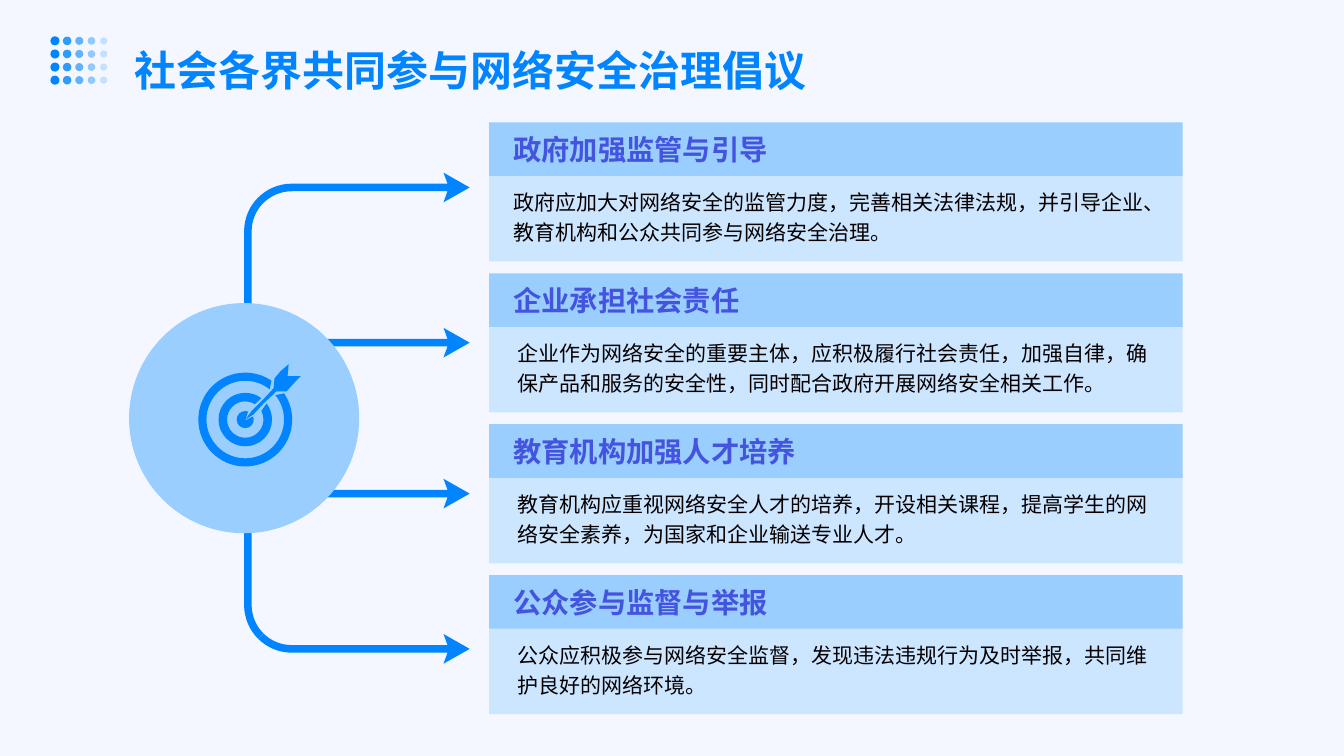
from math import cos, floor, radians, sin, tan

from lxml.etree import SubElement
from pptx import Presentation
from pptx.dml.color import RGBColor
from pptx.enum.shapes import MSO_SHAPE
from pptx.enum.text import MSO_ANCHOR, MSO_AUTO_SIZE
from pptx.oxml.ns import qn
from pptx.util import Pt

FONT = "Noto Sans CJK SC"
BLUE, SKY, PALE = "0084FF", "99CEFF", "CCE6FF"
INITIATIVES = [
    ("政府加强监管与引导",
     "政府应加大对网络安全的监管力度，完善相关法律法规，并引导企业、教育机构和公众共同参与网络安全治理。"),
    ("企业承担社会责任",
     "企业作为网络安全的重要主体，应积极履行社会责任，加强自律，确保产品和服务的安全性，同时配合政府开展网络安全相关工作。"),
    ("教育机构加强人才培养",
     "教育机构应重视网络安全人才的培养，开设相关课程，提高学生的网络安全素养，为国家和企业输送专业人才。"),
    ("公众参与监督与举报",
     "公众应积极参与网络安全监督，发现违法违规行为及时举报，共同维护良好的网络环境。"),
]
DART = [(30.2, -31), (31, -39.6), (25.2, -34.6), (20.9, -29.5), (20.2, -22.3),
        (11.5, -13), (4.3, -5.8), (0, 0), (5.8, -3.6), (13, -11.5),
        (22.3, -20.2), (29.5, -20.2), (34.6, -25.9), (39.6, -31)]


def color(code):
    return RGBColor.from_string(code)


def paint(shape, code, alpha=100):
    shape.shadow.inherit = False
    shape.fill.solid()
    shape.fill.fore_color.rgb = color(code)
    shape.line.fill.background()
    if alpha < 100:
        tint = shape._element.spPr.find(".//" + qn("a:srgbClr"))
        SubElement(tint, qn("a:alpha")).set("val", str(alpha * 1000))


def add_block(slide, kind, left, top, width, height, code, alpha=100):
    block = slide.shapes.add_shape(kind, Pt(left), Pt(top), Pt(width), Pt(height))
    paint(block, code, alpha)


def add_outline(slide, steps, code):
    corners = [(Pt(x), Pt(y)) for step in steps for x, y in step]
    builder = slide.shapes.build_freeform(*corners[0], scale=1.0)
    builder.add_line_segments(corners[1:], close=True)
    outline = builder.convert_to_shape()
    segments = iter(outline._element.spPr.findall(".//" + qn("a:lnTo")))
    for step in steps[1:]:
        first = next(segments)
        if len(step) == 3:
            first.tag = qn("a:cubicBezTo")
            for control in (next(segments), next(segments)):
                first.append(control[0])
                control.getparent().remove(control)
    paint(outline, code)


def lines(*points):
    return [(point,) for point in points]


def arc(x, y, radius, start, end):
    low, high = sorted((start, end))
    axes = [90 * n for n in range(floor(low / 90) + 1, 7) if low < 90 * n < high]
    angles = [low, *axes, high]
    if start > end:
        angles.reverse()

    def at(angle, bend=0):
        a = radians(angle)
        return (x + radius * (cos(a) - bend * sin(a)),
                y - radius * (sin(a) + bend * cos(a)))

    steps = lines(at(start))
    for a, b in zip(angles, angles[1:]):
        bend = 4 / 3 * tan(radians(b - a) / 4)
        steps.append((at(a, bend), at(b, -bend), at(b)))
    return steps


def add_text(slide, box, words, size, code, spacing, insets, bold=False):
    wording = slide.shapes.add_textbox(*[Pt(v) for v in box])
    frame = wording.text_frame
    frame.word_wrap = True
    frame.margin_left, frame.margin_top, frame.margin_right, frame.margin_bottom = [
        Pt(v) for v in insets]
    frame.text = words
    paragraph = frame.paragraphs[0]
    paragraph.line_spacing = spacing
    font = paragraph.runs[0].font
    font.size, font.bold, font.name = Pt(size), bold, FONT
    font.color.rgb = color(code)
    SubElement(paragraph.runs[0]._r.get_or_add_rPr(), qn("a:ea")).set("typeface", FONT)
    return frame


def add_heading(slide, left, top):
    for row in range(4):
        for column in range(5):
            size = 6.5 - 0.36 * column
            add_block(slide, MSO_SHAPE.OVAL,
                      left + 3.25 + 8.7 * column - size / 2,
                      top + 22 + 9.36 * row - size / 2,
                      size, size, BLUE, 100 - 20 * column)
    title = add_text(slide, (left + 50, top, 787.7, 72), "社会各界共同参与网络安全治理倡议",
                     30, BLUE, 1.4, (10.1, 10.1, 4.3, 10.1), True)
    title.auto_size = MSO_AUTO_SIZE.SHAPE_TO_FIT_TEXT


def arrow_head(tip, y, side):
    return lines((tip - 15.8, y + 2.7 * side), (tip - 18.7, y + 10.6 * side), (tip, y),
                 (tip - 18.7, y - 10.6 * side), (tip - 15.8, y - 2.7 * side))


def add_straight_arrow(slide, left, y, tip):
    add_outline(slide, lines((left, y - 2.7)) + arrow_head(tip, y, -1)
                + lines((left, y + 2.7)), BLUE)


def add_bent_arrow(slide, left, base, y, tip):
    side = 1 if y > base else -1
    corner = (left + 34, y - 31.3 * side)
    middle, turn = 180 + 45 * side, 180 + 90 * side
    add_outline(slide, lines((left, base)) + arc(*corner, 34, 180, middle)
                + arc(*corner, 28.6, middle, 180) + lines((left + 5.4, base)), BLUE)
    add_outline(slide, arc(*corner, 34, middle, turn) + arrow_head(tip, y, side)
                + arc(*corner, 28.6, turn, middle), BLUE)


def add_ring(slide, x, y, outer, outer_gap, inner, inner_gap):
    add_outline(slide, arc(x, y, outer, outer_gap[0], outer_gap[1] + 360)
                + arc(x, y, inner, inner_gap[1] + 360, inner_gap[0]), BLUE)


def add_target(slide, x, y):
    add_ring(slide, x, y, 19.1, (53, 37), 13, (58, 28))
    add_outline(slide, arc(x, y, 6.1, 70, 382) + lines((x, y + 0.7)), BLUE)
    add_ring(slide, x, y, 33.5, (56, 34), 27.7, (51, 39))
    add_outline(slide, lines(*[(x + dx, y + dy) for dx, dy in DART]), BLUE)


def add_hub(slide, left, top, size, tip):
    x, y = left + size / 2, top + size / 2
    for offset in (-53.9, 53.9):
        add_straight_arrow(slide, x, y + offset, tip)
    for side in (-1, 1):
        add_bent_arrow(slide, x, y + 45.4 * side, y + 164.8 * side, tip)
    add_block(slide, MSO_SHAPE.OVAL, left, top, size, size, SKY)
    add_target(slide, x + 0.8, y + 1)


def add_card(slide, left, top, width, heading, message):
    insets = (5, 2.7, 5, 2.7)
    add_block(slide, MSO_SHAPE.RECTANGLE, left, top + 34.6, width, 64.8, PALE)
    add_block(slide, MSO_SHAPE.RECTANGLE, left, top, width, 38.3, SKY)
    add_text(slide, (left + 12.5, top - 0.4, width - 36.7, 38.9), heading,
             20.21, "4454DF", 1.2, insets, True)
    body = add_text(slide, (left + 12.5, top + 34.4, width - 30.2, 63.4), message,
                    15, "060001", 1.2, insets)
    body.vertical_anchor = MSO_ANCHOR.MIDDLE
    body._txBody.bodyPr.set("anchorCtr", "1")


def main():
    deck = Presentation()
    deck.slide_width, deck.slide_height = Pt(960), Pt(540)
    slide = deck.slides.add_slide(deck.slide_layouts[6])
    slide.background.fill.solid()
    slide.background.fill.fore_color.rgb = color("F4F7FF")
    add_hub(slide, 92.2, 216.5, 164.4, 335.5)
    add_heading(slide, 36, 7.2)
    for index, (heading, message) in enumerate(INITIATIVES):
        add_card(slide, 349.3, 87.4 + 107.8 * index, 495.4, heading, message)
    deck.save("out.pptx")


if __name__ == "__main__":
    main()
